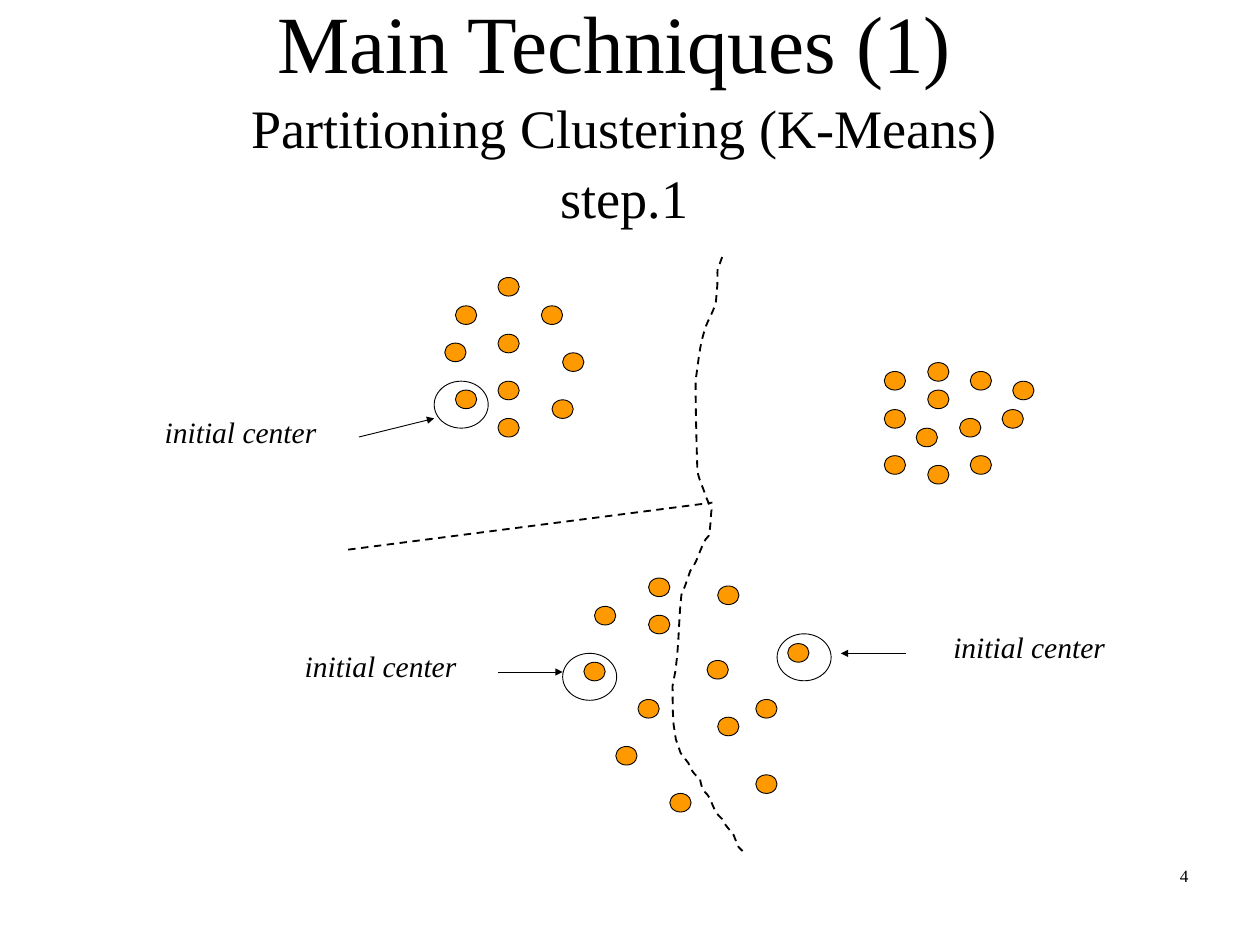
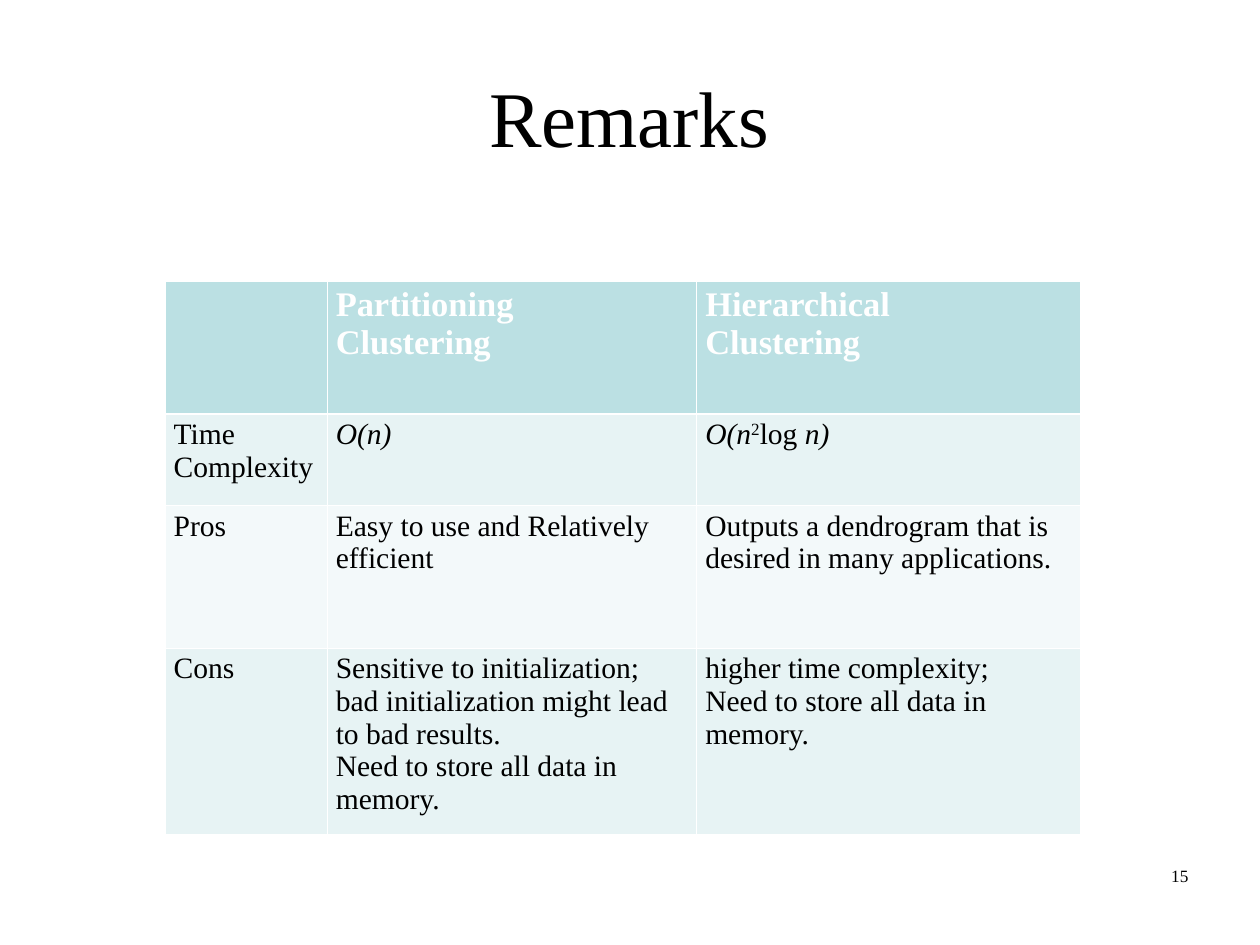
from lxml import etree
from pptx import Presentation
from pptx.dml.color import RGBColor
from pptx.enum.dml import MSO_LINE
from pptx.enum.shapes import MSO_CONNECTOR, MSO_SHAPE
from pptx.enum.text import MSO_ANCHOR, PP_ALIGN
from pptx.oxml.ns import qn
from pptx.util import Inches, Pt

BLACK = RGBColor(0x00, 0x00, 0x00)
WHITE = RGBColor(0xFF, 0xFF, 0xFF)
ORANGE = RGBColor(0xFF, 0x99, 0x00)
TEAL = RGBColor(0xBB, 0xE0, 0xE3)
PALE_TEAL = RGBColor(0xE7, 0xF3, 0xF4)
PALER_TEAL = RGBColor(0xF3, 0xF9, 0xFA)

CENTER, RIGHT = PP_ALIGN.CENTER, PP_ALIGN.RIGHT
MIDDLE, TOP = MSO_ANCHOR.MIDDLE, MSO_ANCHOR.TOP
CIRCLE = MSO_SHAPE.FLOWCHART_CONNECTOR
STRAIGHT = MSO_CONNECTOR.STRAIGHT
DASH = MSO_LINE.DASH

FONT = "Times New Roman"
THIN, THICK = 0.75, 1.5
DOT_SIZE = (0.24, 0.21)
RING_SIZE = (0.61, 0.53)
CURVE_STEPS = 6

ITALIC = {"italic": True}
HEADER = {"size": Pt(28), "bold": True}

UPPER_LEFT_DOTS = [
    (5.62, 3.13), (5.14, 3.45), (6.11, 3.45), (5.62, 3.77), (5.02, 3.87),
    (6.35, 3.98), (5.62, 4.3), (5.62, 4.72), (5.14, 4.4), (6.23, 4.51),
]
RIGHT_DOTS = [
    (10.47, 4.09), (9.98, 4.19), (10.95, 4.19), (10.47, 4.4),
    (9.98, 4.62), (10.34, 4.83), (9.98, 5.14), (10.47, 5.25),
    (11.43, 4.3), (10.83, 4.72), (11.31, 4.62), (10.95, 5.14),
]
LOWER_DOTS = [
    (7.32, 6.52), (8.1, 6.61), (7.32, 6.94), (6.71, 6.84), (6.59, 7.47),
    (7.98, 7.45), (8.89, 7.26), (7.2, 7.89), (8.53, 7.89), (8.1, 8.09),
    (6.95, 8.42), (7.56, 8.95), (8.53, 8.74),
]
BORDER_START = (8.15, 2.9)
BORDER_CURVES = [
    (8.05, 3.18, 8.13, 2.92, 8.08, 3.4),
    (8.06, 3.51, 7.98, 3.62, 7.95, 3.73),
    (7.89, 3.92, 7.88, 4.11, 7.85, 4.29),
    (7.85, 4.63, 7.86, 4.96, 7.87, 5.3),
    (7.88, 5.4, 7.94, 5.51, 7.97, 5.61),
    (7.99, 5.66, 8.03, 5.75, 8.03, 5.75),
    (8.02, 5.84, 8.02, 5.94, 8, 6.04),
    (7.99, 6.06, 7.96, 6.08, 7.95, 6.11),
    (7.89, 6.22, 7.87, 6.34, 7.79, 6.44),
    (7.76, 6.53, 7.73, 6.62, 7.69, 6.71),
    (7.65, 7.05, 7.67, 7.4, 7.59, 7.74),
    (7.6, 7.9, 7.55, 8.43, 7.77, 8.61),
    (7.8, 8.69, 7.83, 8.73, 7.9, 8.79),
    (7.91, 8.84, 7.92, 8.89, 7.95, 8.93),
    (7.97, 8.95, 7.99, 8.97, 8, 8.99),
    (8.06, 9.1, 8.05, 9.15, 8.15, 9.24),
    (8.18, 9.31, 8.23, 9.35, 8.28, 9.42),
    (8.34, 9.57, 8.3, 9.52, 8.38, 9.6),
]
INITIAL_CENTERS = [
    {"ring": (4.9, 4.3), "start": (4.05, 4.93), "end": (4.9, 4.72),
     "label": (1.08, 4.62, 3.27, 0.5)},
    {"ring": (6.35, 7.37), "start": (5.62, 7.58), "end": (6.35, 7.58),
     "label": (2.84, 7.26, 2.91, 0.5)},
    {"ring": (8.77, 7.15), "start": (10.22, 7.37), "end": (9.49, 7.37),
     "label": (10.1, 7.05, 3.03, 0.5)},
]

REMARKS = [
    [[], [[("Partitioning", HEADER)], [("Clustering", HEADER)]],
     [[("Hierarchical", HEADER)], [("Clustering", HEADER)]]],
    [[[("Time Complexity", {})]],
     [[("O(n)", ITALIC)]],
     [[("O(n", ITALIC), ("2", {"baseline": 30}), ("log ", {}),
       ("n)", ITALIC)]]],
    [[[("Pros", {})]],
     [[("Easy to use and Relatively efficient", {})]],
     [[("Outputs a dendrogram that is desired in many applications.", {})]]],
    [[[("Cons", {})]],
     [[("Sensitive to initialization; bad initialization might lead to bad "
        "results.", {})],
      [("Need to store all data in memory.", {})]],
     [[("higher time complexity;", {})],
      [("Need to store all data in memory.", {})]]],
]


def curve_points(start, curves):
    x0, y0 = start
    for x1, y1, x2, y2, x3, y3 in curves:
        for step in range(1, CURVE_STEPS + 1):
            t = step / CURVE_STEPS
            weights = ((1 - t) ** 3, 3 * t * (1 - t) ** 2,
                       3 * t * t * (1 - t), t ** 3)
            yield tuple(
                Inches(sum(w * v for w, v in zip(weights, values)))
                for values in ((x0, x1, x2, x3), (y0, y1, y2, y3)))
        x0, y0 = x3, y3


class DeckBuilder:
    def __init__(self):
        self.deck = Presentation()
        self.deck.slide_width = Inches(14.22)
        self.deck.slide_height = Inches(10.66)
        self.page = None

    def new_page(self, number):
        self.page = self.deck.slides.add_slide(self.deck.slide_layouts[6])
        self.text((10.19, 9.71, 3.32, 0.74), [(str(number), {"size": Pt(14)})],
                  RIGHT)

    def add_span(self, para, text, formats):
        span = para.add_run()
        span.text = text
        span.font.color.rgb = formats.get("color", BLACK)
        values = {"name": FONT, "size": Pt(24), "bold": False,
                  "italic": False, **formats}
        for name in ("name", "size", "bold", "italic"):
            setattr(span.font, name, values[name])
        if "baseline" in formats:
            span.font._element.set("baseline", str(formats["baseline"] * 1000))

    def text(self, place, lines, align, anchor=TOP):
        box = self.page.shapes.add_textbox(*map(Inches, place))
        frame = box.text_frame
        frame.word_wrap = True
        frame.vertical_anchor = anchor
        para = frame.paragraphs[0]
        para.alignment = align
        for index, (text, formats) in enumerate(lines):
            if index:
                para.add_line_break()
            self.add_span(para, text, formats)
        return para

    def title(self, left, top, lines):
        para = self.text((left, top, 12.04, 1.25), lines, CENTER, MIDDLE)
        para.line_spacing = 1.08
        para.space_after = Pt(2)

    def outline(self, shape, width, dash=None):
        shape.line.color.rgb = BLACK
        shape.line.width = Pt(width)
        if dash is not None:
            shape.line.dash_style = dash

    def circle(self, place, size, color=None):
        circle = self.page.shapes.add_shape(
            CIRCLE, *map(Inches, place + size))
        circle.shadow.inherit = False
        if color is None:
            circle.fill.background()
        else:
            circle.fill.solid()
            circle.fill.fore_color.rgb = color
        self.outline(circle, THIN)

    def line(self, start, end, width, dash=None, arrow=False):
        line = self.page.shapes.add_connector(
            STRAIGHT, *map(Inches, start + end))
        self.outline(line, width, dash)
        if arrow:
            etree.SubElement(line.line._get_or_add_ln(), qn("a:tailEnd"),
                             type="triangle")
        etree.SubElement(line._element.spPr, qn("a:effectLst"))

    def curve(self, start, curves):
        builder = self.page.shapes.build_freeform(*map(Inches, start))
        builder.add_line_segments(curve_points(start, curves), close=False)
        curve = builder.convert_to_shape()
        curve.shadow.inherit = False
        curve.fill.background()
        self.outline(curve, THICK, DASH)

    def borders(self, cell, widths):
        properties = cell._tc.get_or_add_tcPr()
        for index, (side, width) in enumerate(widths.items()):
            line = etree.Element(qn("a:ln" + side), w=str(Pt(width)))
            fill = etree.SubElement(line, qn("a:solidFill"))
            etree.SubElement(fill, qn("a:srgbClr"), val=str(WHITE))
            properties.insert(index, line)

    def table(self, place, widths, heights, rows):
        table = self.page.shapes.add_table(
            len(rows), len(widths), *map(Inches, place),
            Inches(sum(widths)), Inches(sum(heights))).table
        table.first_row = table.horz_banding = False
        for column, width in zip(table.columns, widths):
            column.width = Inches(width)
        for index, (row, height) in enumerate(zip(rows, heights)):
            table.rows[index].height = Inches(height)
            if index == 0:
                fill, color = TEAL, WHITE
            else:
                fill, color = (PALE_TEAL if index % 2 else PALER_TEAL), BLACK
            for cell, paragraphs in zip(table.rows[index].cells, row):
                cell.fill.solid()
                cell.fill.fore_color.rgb = fill
                self.borders(cell, {"L": 0.45, "R": 0.45,
                                    "T": 1.47 if index == 1 else 0.45,
                                    "B": 1.47 if index == 0 else 0.45})
                for order, spans in enumerate(paragraphs):
                    frame = cell.text_frame
                    para = frame.add_paragraph() if order else frame.paragraphs[0]
                    for text, formats in spans:
                        self.add_span(para, text, {"color": color, **formats})


def clustering_page(builder):
    builder.new_page(4)
    builder.title(1.03, 0.58, [
        ("Main Techniques (1) ", {"size": Pt(66)}),
        ("Partitioning Clustering (K-Means)", {"size": Pt(44)}),
        ("step.1", {"size": Pt(44)}),
    ])
    for place in UPPER_LEFT_DOTS + RIGHT_DOTS + LOWER_DOTS:
        builder.circle(place, DOT_SIZE, ORANGE)
    builder.line((3.93, 6.2), (8.04, 5.67), THICK, DASH)
    builder.curve(BORDER_START, BORDER_CURVES)
    for center in INITIAL_CENTERS:
        builder.circle(center["ring"], RING_SIZE)
        builder.line(center["start"], center["end"], THIN, arrow=True)
        builder.text(center["label"], [("initial center", ITALIC)], CENTER)


def remarks_page(builder):
    builder.new_page(15)
    builder.title(1.08, 0.64, [("Remarks", {"size": Pt(64)})])
    builder.table((1.86, 3.17), (1.83, 4.17, 4.33), (1.5, 1.03, 1.61, 2.1),
                  REMARKS)


def main():
    builder = DeckBuilder()
    clustering_page(builder)
    remarks_page(builder)
    builder.deck.save("out.pptx")


if __name__ == "__main__":
    main()
